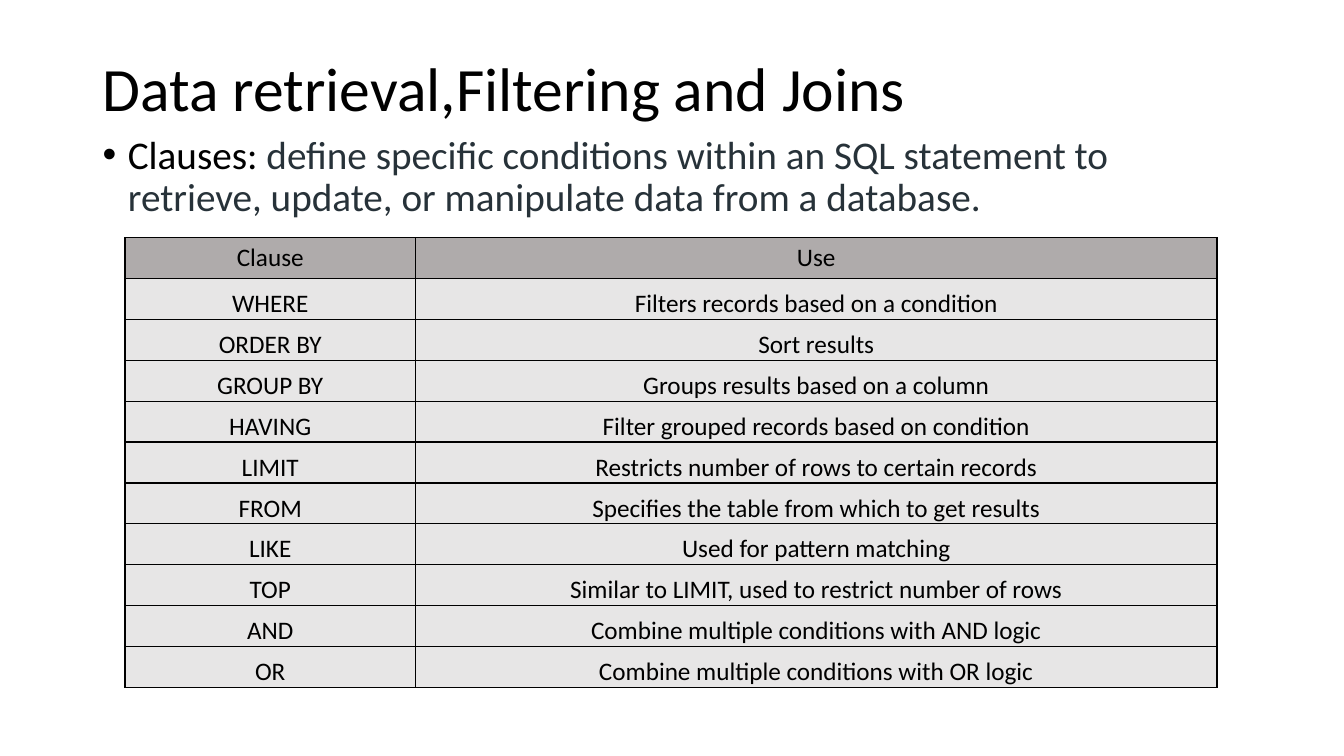
from pptx import Presentation
from pptx.dml.color import RGBColor
from pptx.enum.text import MSO_ANCHOR, MSO_AUTO_SIZE, PP_ALIGN
from pptx.oxml.ns import qn
from pptx.util import Cm, Pt
from lxml import etree

BLACK = RGBColor(0x00, 0x00, 0x00)
SLATE = RGBColor(0x27, 0x32, 0x39)
HEADER_GREY = RGBColor(0xAF, 0xAB, 0xAB)
ROW_GREY = RGBColor(0xE7, 0xE6, 0xE6)
LEFT, CENTER = PP_ALIGN.LEFT, PP_ALIGN.CENTER
TOP, MIDDLE, BOTTOM = MSO_ANCHOR.TOP, MSO_ANCHOR.MIDDLE, MSO_ANCHOR.BOTTOM
NO_AUTOFIT = MSO_AUTO_SIZE.NONE

CLAUSES = [
    ("Clause", "Use"),
    ("WHERE", "Filters records based on a condition"),
    ("ORDER BY", "Sort results"),
    ("GROUP BY", "Groups results based on a column"),
    ("HAVING", "Filter grouped records based on condition"),
    ("LIMIT", "Restricts number of rows to certain records"),
    ("FROM", "Specifies the table from which to get results"),
    ("LIKE", "Used for pattern matching"),
    ("TOP", "Similar to LIMIT, used to restrict number of rows"),
    ("AND", "Combine multiple conditions with AND logic"),
    ("OR", "Combine multiple conditions with OR logic"),
]
COLUMN_WIDTHS = [Cm(7.32), Cm(20.2)]
ROW_HEIGHT = Cm(1.03)
ROW_CELL_FORMAT = {
    "vertical_anchor": BOTTOM,
    "margin_left": Cm(0.03),
    "margin_right": Cm(0.03),
    "margin_top": Cm(0.03),
    "margin_bottom": Cm(0),
}


def add_text(paragraph, text, size, color):
    run = paragraph.add_run()
    run.text = text
    run.font.name = "Calibri"
    run.font.size = Pt(size)
    run.font.color.rgb = color


def add_borders(cell):
    properties = cell._tc.get_or_add_tcPr()
    for side in ("a:lnL", "a:lnR", "a:lnT", "a:lnB"):
        line = etree.SubElement(properties, qn(side), w=str(Pt(1)))
        fill = etree.SubElement(line, qn("a:solidFill"))
        etree.SubElement(fill, qn("a:srgbClr"), val=str(BLACK))


prs = Presentation()
prs.slide_width, prs.slide_height = Cm(33.87), Cm(19.05)
slide = prs.slides.add_slide(prs.slide_layouts[1])
title, definition = slide.placeholders

# Title and definition
for placeholder, top, height, anchor in (
    (title, 1.32, 1.96, MIDDLE),
    (definition, 3.28, 14.05, TOP),
):
    placeholder.left, placeholder.top = Cm(2.33), Cm(top)
    placeholder.width, placeholder.height = Cm(29.21), Cm(height)
    placeholder.text_frame.vertical_anchor = anchor
    placeholder.text_frame.auto_size = NO_AUTOFIT
    placeholder.text_frame.paragraphs[0].alignment = LEFT
    placeholder.text_frame.paragraphs[0].line_spacing = 0.9

add_text(title.text_frame.paragraphs[0], "Data retrieval,Filtering and Joins", 44, BLACK)

bullet = definition.text_frame.paragraphs[0]
bullet.space_before = Pt(10)
bullet_properties = bullet._p.get_or_add_pPr()
bullet_properties.set("marL", str(Cm(0.64)))
bullet_properties.set("indent", str(Cm(-0.64)))
etree.SubElement(bullet_properties, qn("a:buFont"), typeface="Arial")
etree.SubElement(bullet_properties, qn("a:buChar"), char="•")
add_text(bullet, "Clauses: ", 28, BLACK)
add_text(
    bullet,
    "define specific conditions within an SQL statement to retrieve, update, "
    "or manipulate data from a database.",
    28,
    SLATE,
)

# Clause table
clause_table = slide.shapes.add_table(
    len(CLAUSES), len(COLUMN_WIDTHS), Cm(3.15), Cm(5.99),
    sum(COLUMN_WIDTHS), ROW_HEIGHT * len(CLAUSES),
).table
clause_table.first_row = False
clause_table.horz_banding = False
for column, width in zip(clause_table.columns, COLUMN_WIDTHS):
    column.width = width

for row_index, clause_row in enumerate(CLAUSES):
    clause_table.rows[row_index].height = ROW_HEIGHT
    for column_index, text in enumerate(clause_row):
        cell = clause_table.cell(row_index, column_index)
        add_borders(cell)
        cell.fill.solid()
        cell.fill.fore_color.rgb = ROW_GREY if row_index else HEADER_GREY
        if row_index:
            for name, value in ROW_CELL_FORMAT.items():
                setattr(cell, name, value)
        paragraph = cell.text_frame.paragraphs[0]
        paragraph.alignment = CENTER
        add_text(paragraph, text, 18, BLACK)

prs.save("out.pptx")
